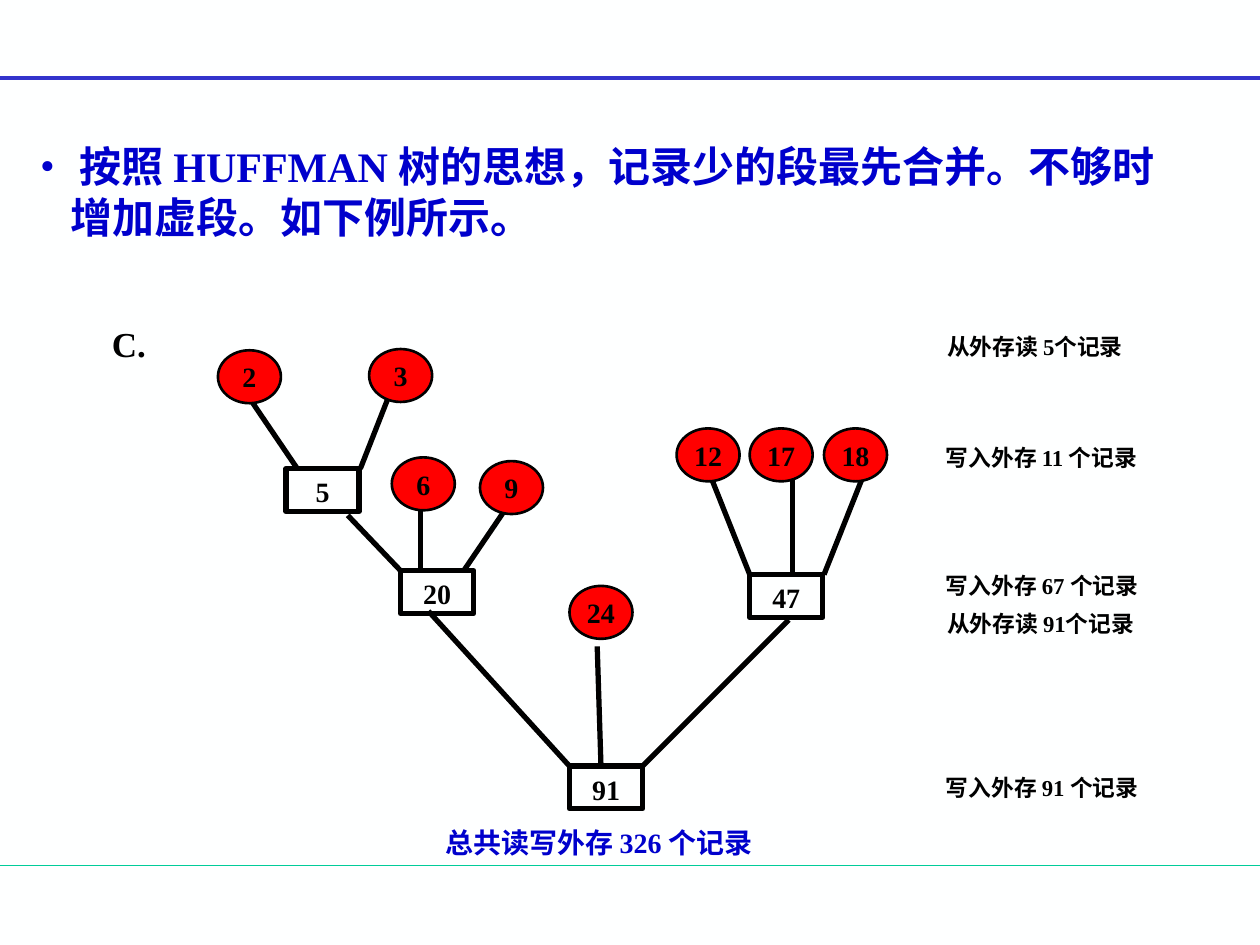
from lxml import etree
from pptx import Presentation
from pptx.dml.color import RGBColor
from pptx.enum.shapes import MSO_CONNECTOR, MSO_SHAPE
from pptx.enum.text import MSO_ANCHOR, PP_ALIGN
from pptx.oxml.ns import qn
from pptx.util import Inches, Pt

COLORS = {
    "background": "FEFFFF",
    "ink": "000000",
    "text": "0000CC",
    "leaf": "FF0000",
    "top_rule": "3333CC",
    "bottom_rule": "00CC99",
}


def add_line(slide, start, end, color, width):
    connector = slide.shapes.add_connector(
        MSO_CONNECTOR.STRAIGHT, *[Inches(value) for value in (*start, *end)])
    connector.line.color.rgb = RGBColor.from_string(COLORS[color])
    connector.line.width = Pt(width)
    etree.SubElement(connector._element.spPr, qn("a:effectLst"))


def write_text(shape, text, size, color="ink"):
    paragraph = shape.text_frame.paragraphs[0]
    run = paragraph.add_run()
    run.text = text
    run.font.name = "Times New Roman"
    run.font.size = Pt(size)
    run.font.bold = True
    run.font.color.rgb = RGBColor.from_string(COLORS[color])
    return paragraph


presentation = Presentation()
presentation.slide_width = Inches(10)
presentation.slide_height = Inches(7.5)
slide = presentation.slides.add_slide(presentation.slide_layouts[6])
slide.background.fill.solid()
slide.background.fill.fore_color.rgb = RGBColor.from_string(COLORS["background"])

add_line(slide, (0, 6.87), (10, 6.87), "bottom_rule", 0.75)
add_line(slide, (0, 0.62), (10, 0.62), "top_rule", 2.25)

branches = [
    ((2, 3.19), (2.36, 3.72)),
    ((3.19, 2.88), (2.86, 3.72)),
    ((2.76, 4.09), (3.18, 4.53)),
    ((3.34, 3.7), (3.34, 4.53)),
    ((4.02, 4.03), (3.68, 4.53)),
    ((5.62, 3.73), (5.95, 4.56)),
    ((6.29, 3.73), (6.29, 4.56)),
    ((6.87, 3.73), (6.54, 4.56)),
    ((3.4, 4.85), (4.52, 6.08)),
    ((4.74, 5.13), (4.77, 6.08)),
    ((6.26, 4.92), (5.1, 6.08)),
]
for start, end in branches:
    add_line(slide, start, end, "ink", 3)

leaves = [
    ("2", 1.73, 2.78), ("3", 2.93, 2.77),
    ("6", 3.11, 3.63), ("9", 3.81, 3.66),
    ("24", 4.52, 4.65),
    ("12", 5.37, 3.4), ("17", 5.95, 3.4), ("18", 6.54, 3.4),
]
merged_nodes = [("5", 2.27, 3.72), ("20", 3.18, 4.53), ("47", 5.95, 4.56), ("91", 4.52, 6.08)]
node_styles = [
    (leaves, MSO_SHAPE.OVAL, 0.5, 0.42, 1.5, MSO_ANCHOR.MIDDLE),
    (merged_nodes, MSO_SHAPE.RECTANGLE, 0.58, 0.34, 3, MSO_ANCHOR.TOP),
]
for nodes, kind, width, height, line_width, anchor in node_styles:
    for label, left, top in nodes:
        shape = slide.shapes.add_shape(
            kind, Inches(left), Inches(top), Inches(width), Inches(height))
        shape.shadow.inherit = False
        if kind == MSO_SHAPE.OVAL:
            shape.fill.solid()
            shape.fill.fore_color.rgb = RGBColor.from_string(COLORS["leaf"])
        else:
            shape.fill.background()
        shape.line.color.rgb = RGBColor.from_string(COLORS["ink"])
        shape.line.width = Pt(line_width)
        shape.text_frame.word_wrap = False
        shape.text_frame.vertical_anchor = anchor
        write_text(shape, label, 16).alignment = PP_ALIGN.CENTER

captions = [
    ("C.", 0.79, 2.51, 0.92, 0.44, 20, "ink"),
    ("总共读写外存 326 个记录", 3.44, 6.5, 2.83, 0.37, 16, "text"),
    ("从外存读 5个记录", 7.42, 2.59, 2, 0.32, 13, "ink"),
    ("写入外存 11 个记录", 7.41, 3.47, 2, 0.32, 13, "ink"),
    ("写入外存 67 个记录", 7.41, 4.49, 2, 0.32, 13, "ink"),
    ("从外存读 91个记录", 7.42, 4.79, 2, 0.32, 13, "ink"),
    ("写入外存 91 个记录", 7.41, 6.09, 2, 0.32, 13, "ink"),
]
for text, left, top, width, height, size, color in captions:
    caption = slide.shapes.add_textbox(
        Inches(left), Inches(top), Inches(width), Inches(height))
    caption.text_frame.word_wrap = True
    write_text(caption, text, size, color)

statement = slide.shapes.add_textbox(Inches(0.22), Inches(1.07), Inches(9.33), Inches(0.9))
statement.text_frame.word_wrap = True
paragraph = write_text(
    statement,
    " 按照 HUFFMAN 树的思想，记录少的段最先合并。不够时增加虚段。如下例所示。",
    24, "text")
properties = paragraph._p.get_or_add_pPr()
properties.set("marL", str(Inches(0.24)))
properties.set("indent", str(Inches(-0.24)))
bullet_color = etree.SubElement(properties, qn("a:buClr"))
etree.SubElement(bullet_color, qn("a:srgbClr"), val=COLORS["text"])
etree.SubElement(properties, qn("a:buFont"), typeface="Times New Roman")
etree.SubElement(properties, qn("a:buChar"), char="•")

presentation.save("out.pptx")
